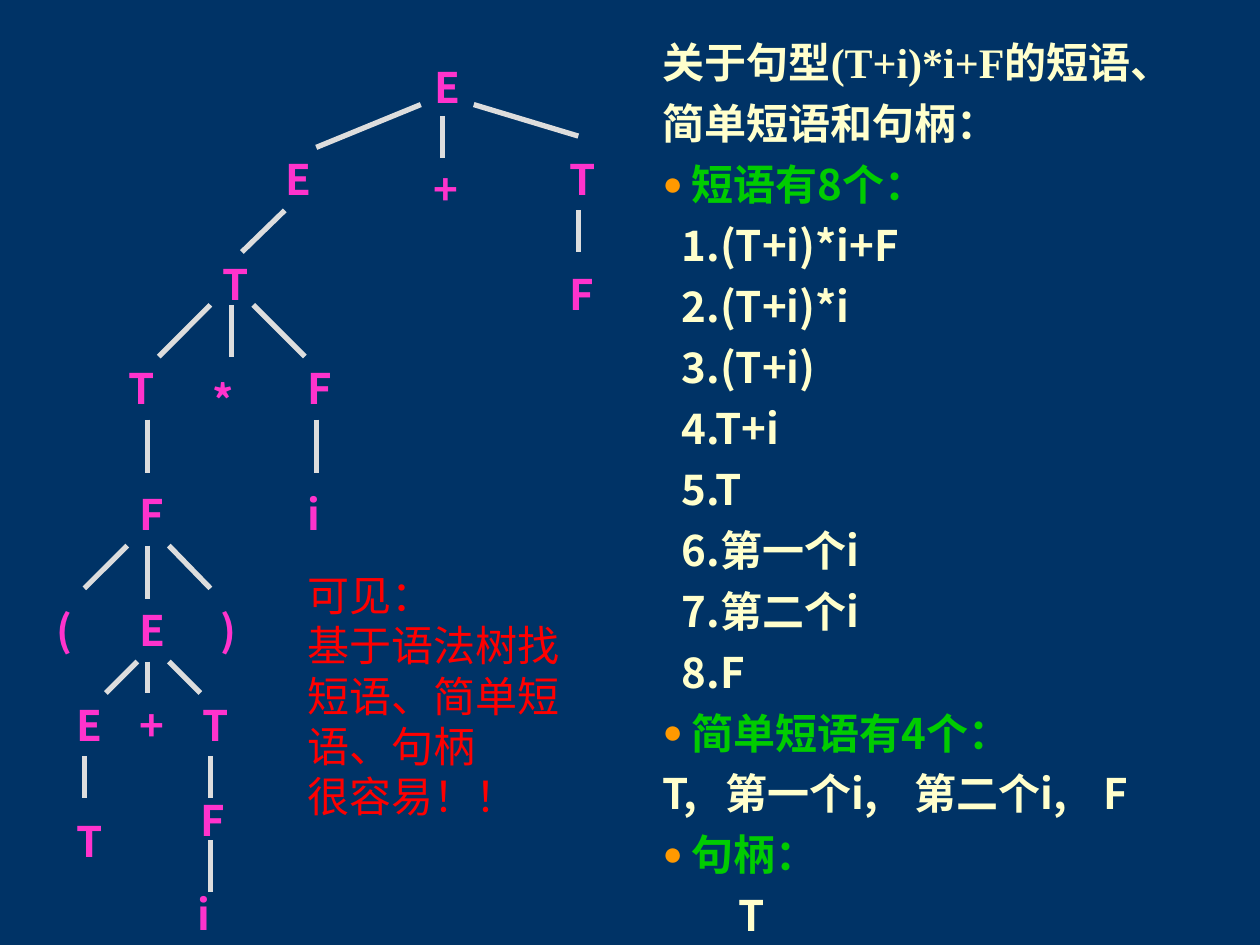
from dataclasses import dataclass

from lxml.etree import SubElement
from pptx import Presentation
from pptx.dml.color import RGBColor as RGB
from pptx.enum.shapes import MSO_CONNECTOR as Connector
from pptx.enum.text import MSO_ANCHOR as Anchor, MSO_AUTO_SIZE as AutoSize, PP_ALIGN as Align
from pptx.oxml.ns import qn
from pptx.util import Inches, Pt


@dataclass(frozen=True)
class Theme:
    background: RGB = RGB.from_string("003366")
    text: RGB = RGB.from_string("FFFFCC")
    topic: RGB = RGB.from_string("00CC00")
    node: RGB = RGB.from_string("FF33CC")
    branch: RGB = RGB.from_string("DDDDDD")
    remark: RGB = RGB.from_string("FF0000")
    bullet: str = "FF9900"
    sans: str = "Noto Sans CJK SC"
    serif: str = "Times New Roman"
    size: Pt = Pt(24)
    gap: Pt = Pt(6)
    branch_width: Pt = Pt(3)


theme = Theme()


def style(paragraph, color, name=theme.sans, bold=True):
    paragraph.alignment = Align.LEFT
    font = paragraph.font
    font.name, font.size, font.bold = name, theme.size, bold
    font.color.rgb = color


def place(shape, left, top, width, height):
    shape.left, shape.top = Inches(left), Inches(top)
    shape.width, shape.height = Inches(width), Inches(height)
    frame = shape.text_frame
    frame.word_wrap, frame.auto_size = True, AutoSize.NONE
    frame.vertical_anchor = Anchor.TOP
    return frame


prs = Presentation()
prs.slide_width, prs.slide_height = Inches(10), Inches(7.5)
slide = prs.slides.add_slide(prs.slide_layouts[1])
slide.background.fill.solid()
slide.background.fill.fore_color.rgb = theme.background

# Heading
heading = place(slide.shapes.title, 5.16, 0.24, 4.57, 0.98)
heading.text = "关于句型(T+i)*i+F的短语、\n简单短语和句柄："
for number, line in enumerate(heading.paragraphs):
    style(line, theme.text, theme.serif)
    line.space_before = theme.gap if number else Pt(0)

# Phrases: text, left margin (None for a bulleted topic)
phrases = [
    ("短语有8个：", None),
    ("1.(T+i)*i+F", 0.15),
    ("2.(T+i)*i", 0.15),
    ("3.(T+i)", 0.15),
    ("4.T+i", 0.15),
    ("5.T", 0.15),
    ("6.第一个i", 0.15),
    ("7.第二个i", 0.15),
    ("8.F", 0.15),
    ("简单短语有4个：", None),
    ("T,\t第一个i,\t第二个i,\tF", 0),
    ("句柄：", None),
    ("T", 0.6),
]
simple_phrase_stops = (0.49, 2.02, 3.47)
hanging = 0.23

phrase_list = place(slide.placeholders[1], 5.16, 1.21, 4.57, 6.29)
phrase_list.text = "\n".join(text for text, _ in phrases)
for number, (line, (text, margin)) in enumerate(zip(phrase_list.paragraphs, phrases)):
    is_topic = margin is None
    props = line._p.get_or_add_pPr()
    props.set("marL", str(Inches(hanging if is_topic else margin)))
    props.set("indent", str(-Inches(hanging) if is_topic else 0))
    if is_topic:
        bullet_color = SubElement(props, qn("a:buClr"))
        SubElement(bullet_color, qn("a:srgbClr"), val=theme.bullet)
        SubElement(props, qn("a:buSzPct"), val="80000")
        SubElement(props, qn("a:buChar"), char="●")
    else:
        SubElement(props, qn("a:buNone"))
    if "\t" in text:
        tabs = SubElement(props, qn("a:tabLst"))
        for stop in simple_phrase_stops:
            SubElement(tabs, qn("a:tab"), pos=str(Inches(stop)), algn="l")
    style(line, theme.topic if is_topic else theme.text)
    line.space_before = theme.gap if number else Pt(0)

# Syntax tree branches: from x, y to x, y
branches = [
    (3.34, 0.83, 2.51, 1.17), (3.51, 0.92, 3.51, 1.25), (3.76, 0.83, 4.59, 1.08),
    (2.26, 1.67, 1.92, 2), (4.59, 1.67, 4.59, 2),
    (1.67, 2.42, 1.26, 2.83), (1.84, 2.42, 1.84, 2.83), (2.01, 2.42, 2.42, 2.83),
    (1.17, 3.33, 1.17, 3.75), (2.51, 3.33, 2.51, 3.75),
    (1.01, 4.33, 0.67, 4.67), (1.17, 4.33, 1.17, 4.75), (1.34, 4.33, 1.67, 4.67),
    (1.09, 5.25, 0.84, 5.5), (1.17, 5.25, 1.17, 5.5), (1.34, 5.25, 1.59, 5.5),
    (0.67, 6, 0.67, 6.33), (1.67, 6, 1.67, 6.33),
    (1.67, 6.67, 1.67, 7.08),
]
for ends in branches:
    branch = slide.shapes.add_connector(Connector.STRAIGHT, *map(Inches, ends))
    branch.line.color.rgb = theme.branch
    branch.line.width = theme.branch_width
    SubElement(branch._element.spPr, qn("a:effectLst"))

# Syntax tree nodes: symbol, left, top, width
nodes = [
    ("E", 3.35, 0.44, 1.17),
    ("E", 2.17, 1.17, 0.5), ("+", 3.34, 1.25, 0.67), ("T", 4.42, 1.17, 0.5),
    ("T", 1.67, 2, 0.83), ("F", 4.42, 2.08, 0.42),
    ("T", 0.92, 2.83, 0.5), ("*", 1.59, 2.92, 0.42), ("F", 2.34, 2.83, 0.5),
    ("F", 1.01, 3.83, 0.42), ("i", 2.34, 3.83, 0.33),
    ("(", 0.35, 4.75, 0.33), ("E", 1.01, 4.75, 0.33), (")", 1.65, 4.75, 0.58),
    ("E", 0.51, 5.5, 0.42), ("+", 1.01, 5.5, 0.33), ("T", 1.51, 5.5, 0.58),
    ("T", 0.51, 6.42, 0.42), ("F", 1.49, 6.26, 0.5),
    ("i", 1.47, 7, 0.5),
]
for symbol, left, top, width in nodes:
    node = place(slide.shapes.add_textbox(0, 0, 0, 0), left, top, width, 0.5)
    node.text = symbol
    style(node.paragraphs[0], theme.node)

# Remark
remark = place(slide.shapes.add_textbox(0, 0, 0, 0), 2.34, 4.47, 2.25, 2.1)
remark.text = "可见：\n基于语法树找短语、简单短语、句柄\n很容易！！"
for line in remark.paragraphs:
    style(line, theme.remark, bold=False)

prs.save("out.pptx")
